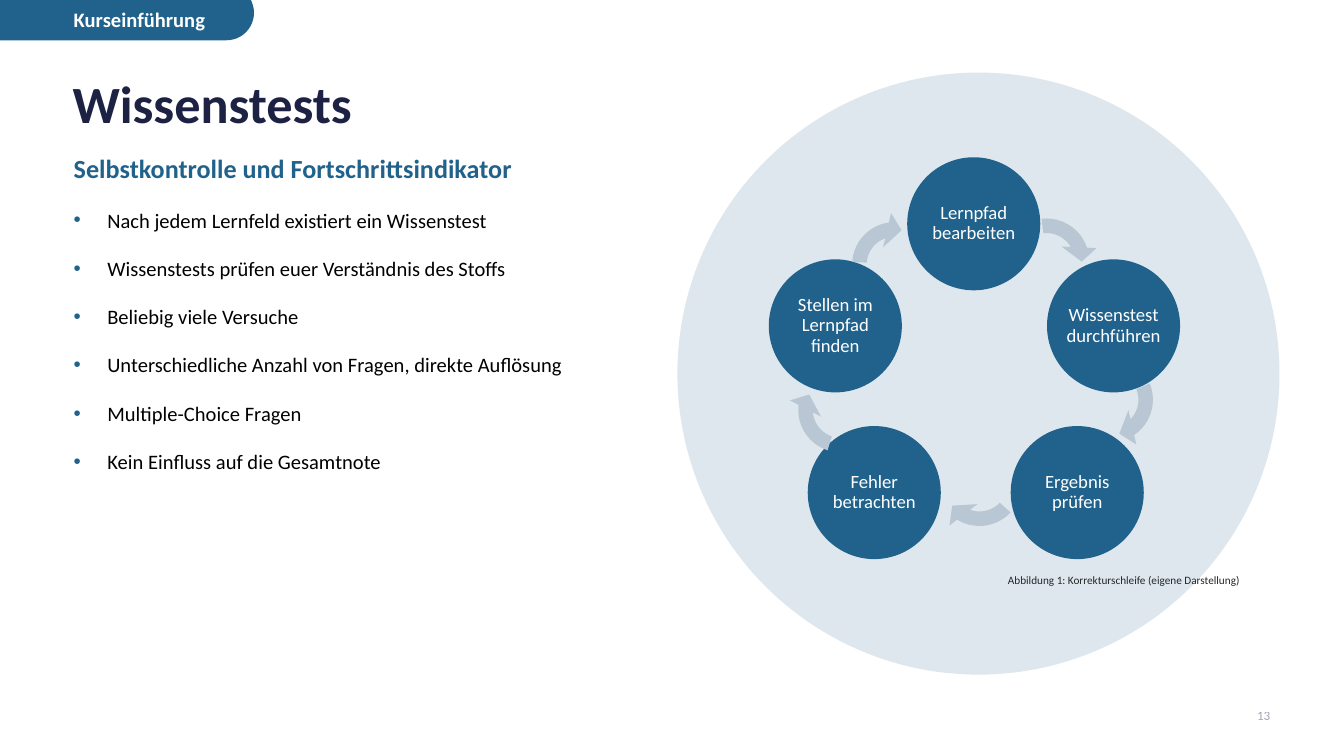
from typing import NamedTuple

from lxml.etree import SubElement
from pptx import Presentation
from pptx.dml.color import RGBColor
from pptx.enum.shapes import MSO_SHAPE as Preset
from pptx.enum.text import MSO_ANCHOR as Anchor, MSO_AUTO_SIZE as AutoSize, PP_ALIGN as Align
from pptx.oxml.ns import qn
from pptx.util import Inches, Pt

SLIDE_WIDTH = 10
SLIDE_HEIGHT = SLIDE_WIDTH * 9 / 16
FONT = "Calibri"
BLUE, NAVY, GREY_BLUE = "20628B", "1D2143", "B8C7D3"
WHITE, BLACK, CAPTION = "FFFFFF", "000000", "262626"
NODE_SIZE = 0.99
ARROW_WIDTH, ARROW_HEIGHT = 0.78, 0.77
ARROW_ADJUSTMENTS = (0.14, 14.49, 190.24, 144.63, 0.17)


class Step(NamedTuple):
    label: str
    left: float
    top: float


class Arrow(NamedTuple):
    left: float
    top: float
    rotation: float


STEPS = (
    Step("Lernpfad\nbearbeiten", 6.75, 1.17),
    Step("Wissenstest\ndurchführen", 7.79, 1.93),
    Step("Ergebnis\nprüfen", 7.52, 3.17),
    Step("Fehler\nbetrachten", 6.01, 3.17),
    Step("Stellen im Lernpfad finden", 5.72, 1.93),
)
ARROW_BEHIND = Arrow(7.88, 2.59, 95.8)
ARROWS_IN_FRONT = (
    Arrow(6.9, 3.22, 161.3),
    Arrow(6.26, 1.58, 301.9),
    Arrow(7.4, 1.55, 21.4),
    Arrow(5.86, 2.67, 226.4),
)
FACTS = (
    "Nach jedem Lernfeld existiert ein Wissenstest",
    "Wissenstests prüfen euer Verständnis des Stoffs",
    "Beliebig viele Versuche",
    "Unterschiedliche Anzahl von Fragen, direkte Auflösung",
    "Multiple-Choice Fragen",
    "Kein Einfluss auf die Gesamtnote",
)


def paint(color_format, color: str, opacity: int = 100) -> None:
    color_format.rgb = RGBColor.from_string(color)
    if opacity < 100:
        rgb = color_format._xFill.find(qn("a:srgbClr"))
        SubElement(rgb, qn("a:alpha"), val=str(opacity * 1000))


def write(paragraph, text: str, *, size: float, color: str, opacity: int = 100,
          bold: bool = False, align=Align.LEFT, line: float = 1.0,
          before: float = 0, bullet: str = "") -> None:
    paragraph.text = text
    paragraph.alignment = align
    paragraph.line_spacing = line
    paragraph.space_before = Pt(before)
    for run in paragraph.runs:
        run.font.name, run.font.size, run.font.bold = FONT, Pt(size), bold
        paint(run.font.color, color, opacity)
    if bullet:
        props = paragraph._p.get_or_add_pPr()
        props.set("marL", str(Inches(0.25)))
        props.set("indent", str(Inches(-0.25)))
        SubElement(SubElement(props, qn("a:buClr")), qn("a:srgbClr"), val=BLUE)
        SubElement(props, qn("a:buFont"), typeface="Arial")
        SubElement(props, qn("a:buChar"), char=bullet)


def add_frame(slide, left: float, top: float, width: float, height: float):
    box = slide.shapes.add_textbox(Inches(left), Inches(top), Inches(width), Inches(height))
    box.text_frame.word_wrap = True
    return box.text_frame


def add_solid(slide, preset, left: float, top: float, width: float, height: float,
              color: str, opacity: int = 100):
    shape = slide.shapes.add_shape(preset, Inches(left), Inches(top), Inches(width), Inches(height))
    shape.shadow.inherit = False
    shape.line.fill.background()
    shape.fill.solid()
    paint(shape.fill.fore_color, color, opacity)
    return shape


def add_step(slide, step: Step) -> None:
    node = add_solid(slide, Preset.FLOWCHART_CONNECTOR, step.left, step.top,
                     NODE_SIZE, NODE_SIZE, BLUE)
    frame = node.text_frame
    frame.word_wrap = True
    frame.vertical_anchor = Anchor.MIDDLE
    frame.margin_left = frame.margin_right = 0
    write(frame.paragraphs[0], step.label, size=10, color=WHITE, align=Align.CENTER, line=0.9)


def add_arrow(slide, arrow: Arrow) -> None:
    shape = add_solid(slide, Preset.CIRCULAR_ARROW, arrow.left, arrow.top,
                      ARROW_WIDTH, ARROW_HEIGHT, GREY_BLUE)
    shape.rotation = arrow.rotation
    for index, value in enumerate(ARROW_ADJUSTMENTS):
        shape.adjustments[index] = value


def main() -> None:
    deck = Presentation()
    deck.slide_width, deck.slide_height = Inches(SLIDE_WIDTH), Inches(SLIDE_HEIGHT)
    slide = deck.slides.add_slide(deck.slide_layouts[5])

    # Page number
    page_number = add_frame(slide, 7.68, 5.23, 1.87, 0.27)
    write(page_number.paragraphs[0], "13", size=7, color=NAVY, opacity=40,
          align=Align.RIGHT, line=0.9, before=10)

    # Correction loop
    add_solid(slide, Preset.OVAL, 5.04, 0.54, 4.48, 4.48, BLUE, opacity=15)
    add_arrow(slide, ARROW_BEHIND)
    caption = add_frame(slide, 5.31, 4.22, 4.01, 0.2)
    write(caption.paragraphs[0], "Abbildung 1: Korrekturschleife (eigene Darstellung)",
          size=6, color=CAPTION, align=Align.RIGHT)
    for step in STEPS:
        add_step(slide, step)
    for arrow in ARROWS_IN_FRONT:
        add_arrow(slide, arrow)

    # Chapter tab
    tab = add_solid(slide, Preset.ROUNDED_RECTANGLE, -0.31, -0.11, 2.2, 0.41, BLUE)
    tab.adjustments[0] = 0.5
    chapter = add_frame(slide, 0.45, 0, 1.44, 0.29)
    write(chapter.paragraphs[0], "Kurseinführung", size=11, color=WHITE, bold=True)

    # Subtitle and facts
    body = add_frame(slide, 0.45, 1.04, 4.42, 3.98)
    write(body.paragraphs[0], "Selbstkontrolle und Fortschrittsindikator",
          size=14, color=BLUE, bold=True, line=1.2, before=10)
    for fact in FACTS:
        write(body.add_paragraph(), fact, size=11, color=BLACK, line=1.2, before=10, bullet="•")

    # Title
    title = slide.shapes.title
    title.left, title.top = Inches(0.44), Inches(0.53)
    title.width, title.height = Inches(4.55), Inches(0.55)
    title.text_frame.auto_size = AutoSize.NONE
    title.text_frame.vertical_anchor = Anchor.TOP
    write(title.text_frame.paragraphs[0], "Wissenstests", size=28, color=NAVY, bold=True, line=0.9)

    deck.save("out.pptx")


if __name__ == "__main__":
    main()
